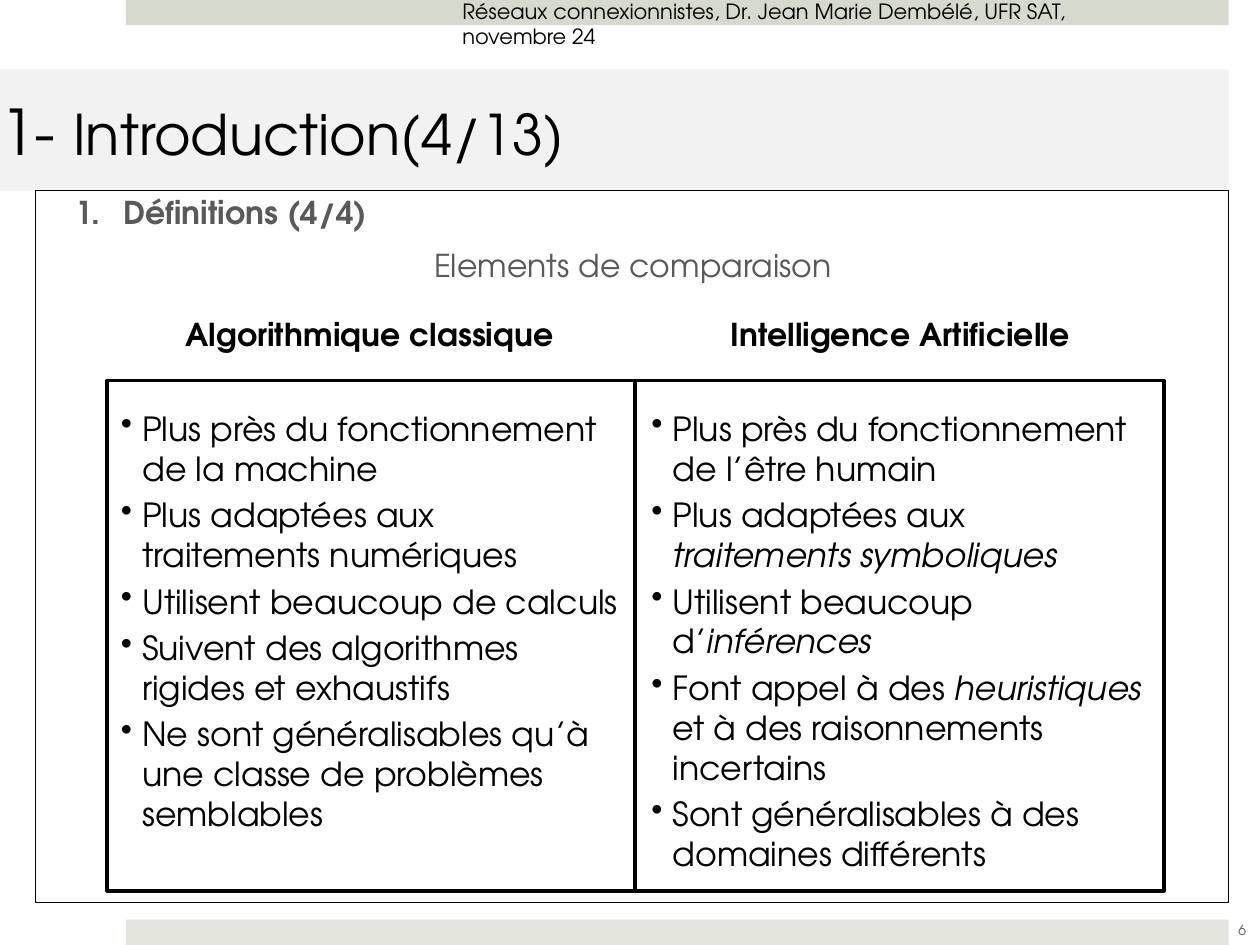
from typing import NamedTuple

from lxml.etree import SubElement
from pptx import Presentation
from pptx.dml.color import RGBColor
from pptx.enum.shapes import MSO_CONNECTOR, MSO_SHAPE
from pptx.enum.text import MSO_ANCHOR, MSO_AUTO_SIZE, PP_ALIGN
from pptx.oxml.ns import qn
from pptx.util import Cm, Pt

FONT = "TeX Gyre Adventor"
COLORS = {
    "text": "000000",
    "muted": "595959",
    "title_band": "F2F2F2",
    "top_band": "D6D9CD",
    "bottom_band": "E4E6DE",
}


class Box(NamedTuple):
    left: float
    top: float
    width: float
    height: float

    def lengths(self):
        return [Cm(value) for value in self]


class Run(NamedTuple):
    text: str
    size: float
    color: str = "text"
    bold: bool = False
    italic: bool = False


class Column(NamedTuple):
    left: float
    heading: str
    items: list  # each item alternates upright and italic text


COLUMNS = [
    Column(2.11, "Algorithmique classique", [
        ["Plus près du fonctionnement de la machine"],
        ["Plus adaptées aux traitements numériques"],
        ["Utilisent beaucoup de calculs"],
        ["Suivent des algorithmes rigides et exhaustifs"],
        ["Ne sont généralisables qu’à une classe de problèmes semblables"],
    ]),
    Column(12.8, "Intelligence Artificielle", [
        ["Plus près du fonctionnement de l’être humain"],
        ["Plus adaptées aux ", "traitements symboliques"],
        ["Utilisent beaucoup d’", "inférences"],
        ["Font appel à des ", "heuristiques", " et à des raisonnements incertains"],
        ["Sont généralisables à des domaines différents"],
    ]),
]
COLUMN_WIDTH = 10.69


def rgb(name: str) -> RGBColor:
    return RGBColor.from_string(COLORS[name])


def add_runs(paragraph, runs: list[Run]) -> None:
    for item in runs:
        run = paragraph.add_run()
        run.text = item.text
        run.font.name = FONT
        run.font.size = Pt(item.size)
        run.font.bold = item.bold
        run.font.italic = item.italic
        run.font.color.rgb = rgb(item.color)


def set_bullet(paragraph, margin: float, hanging: float, tag: str, **attributes: str) -> None:
    properties = paragraph._p.get_or_add_pPr()
    properties.set("marL", str(Cm(margin)))
    properties.set("indent", str(-Cm(hanging)))
    SubElement(properties, qn(tag), attributes)


def add_rectangle(slide, box: Box, fill: str = "", line_width: float = 0):
    shape = slide.shapes.add_shape(MSO_SHAPE.RECTANGLE, *box.lengths())
    shape.shadow.inherit = False
    if fill:
        shape.fill.solid()
        shape.fill.fore_color.rgb = rgb(fill)
    else:
        shape.fill.background()
    if line_width:
        shape.line.color.rgb = rgb("text")
        shape.line.width = Pt(line_width)
    else:
        shape.line.fill.background()
    return shape


def add_text(slide, box: Box, runs: list[Run], align=PP_ALIGN.LEFT, anchor=MSO_ANCHOR.TOP) -> None:
    frame = slide.shapes.add_textbox(*box.lengths()).text_frame
    frame.word_wrap = True
    frame.vertical_anchor = anchor
    frame.paragraphs[0].alignment = align
    add_runs(frame.paragraphs[0], runs)


def add_title(slide) -> None:
    title = slide.shapes.title
    title.left, title.top, title.width, title.height = Box(0, 1.4, 24.77, 2.44).lengths()
    title.fill.solid()
    title.fill.fore_color.rgb = rgb("title_band")
    frame = title.text_frame
    frame.auto_size = MSO_AUTO_SIZE.NONE
    frame.vertical_anchor = MSO_ANCHOR.MIDDLE
    frame.margin_left, frame.margin_right = Cm(0), Cm(0.76)
    frame.paragraphs[0].alignment = PP_ALIGN.LEFT
    add_runs(frame.paragraphs[0], [Run("1- ", 36), Run("Introduction(4/13)", 32)])


def add_content_frame(slide) -> None:
    frame = add_rectangle(slide, Box(0.71, 3.84, 24.05, 14.35), line_width=0.75).text_frame
    frame.word_wrap = True
    frame.vertical_anchor = MSO_ANCHOR.TOP
    frame.margin_left, frame.margin_right = Cm(0.81), Cm(0.76)
    frame.margin_top = frame.margin_bottom = Cm(0.25)

    section = frame.paragraphs[0]
    section.alignment = PP_ALIGN.JUSTIFY
    section.line_spacing = 0.7
    set_bullet(section, 0.97, 0.97, "a:buAutoNum", type="arabicPeriod")
    add_runs(section, [Run("Définitions (4/4)", 18, "muted", bold=True)])

    subject = frame.add_paragraph()
    subject.alignment = PP_ALIGN.CENTER
    subject.line_spacing = 0.8
    subject.space_before = Pt(13.6)
    add_runs(subject, [Run("Elements de comparaison", 18, "muted")])


def add_column(slide, column: Column) -> None:
    add_text(slide, Box(column.left, 6.22, COLUMN_WIDTH, 1.12),
             [Run(column.heading, 18, bold=True)], PP_ALIGN.CENTER)
    box = Box(column.left, 8.1, COLUMN_WIDTH, 9.68)
    frame = slide.shapes.add_textbox(*box.lengths()).text_frame
    frame.word_wrap = True
    for index, parts in enumerate(column.items):
        paragraph = frame.add_paragraph() if index else frame.paragraphs[0]
        if index:
            paragraph.space_before = Pt(3.8)
        set_bullet(paragraph, 0.51, 0.43, "a:buChar", char="•")
        add_runs(paragraph, [Run(text, 19, italic=position % 2 == 1)
                             for position, text in enumerate(parts)])


def add_divider(slide) -> None:
    x = Cm(COLUMNS[1].left)
    line = slide.shapes.add_connector(MSO_CONNECTOR.STRAIGHT, x, Cm(7.67), x, Cm(17.96))
    line.line.color.rgb = rgb("text")
    line.line.width = Pt(2)
    SubElement(line._element.spPr, qn("a:effectLst"))


def main() -> None:
    presentation = Presentation()
    presentation.slide_width, presentation.slide_height = Cm(25.4), Cm(19.05)
    slide = presentation.slides.add_slide(presentation.slide_layouts[5])

    # Page bands, title and content frame
    add_rectangle(slide, Box(2.54, 0, 22.23, 0.51), "top_band")
    add_rectangle(slide, Box(2.54, 18.54, 22.23, 0.51), "bottom_band")
    add_title(slide)
    add_content_frame(slide)

    # Comparison
    for column in COLUMNS:
        add_column(slide, column)
    add_divider(slide)
    add_rectangle(slide, Box(2.16, 7.67, 21.31, 10.29), line_width=2)

    # Header and page number
    add_text(slide, Box(9.07, -0.15, 14.6, 0.76),
             [Run("Réseaux connexionnistes, Dr. Jean Marie Dembélé, UFR SAT, novembre 24", 12)])
    add_text(slide, Box(24.41, 18.24, 1.27, 1.02), [Run("6", 8, "muted")],
             PP_ALIGN.CENTER, MSO_ANCHOR.MIDDLE)

    presentation.save("out.pptx")


if __name__ == "__main__":
    main()
